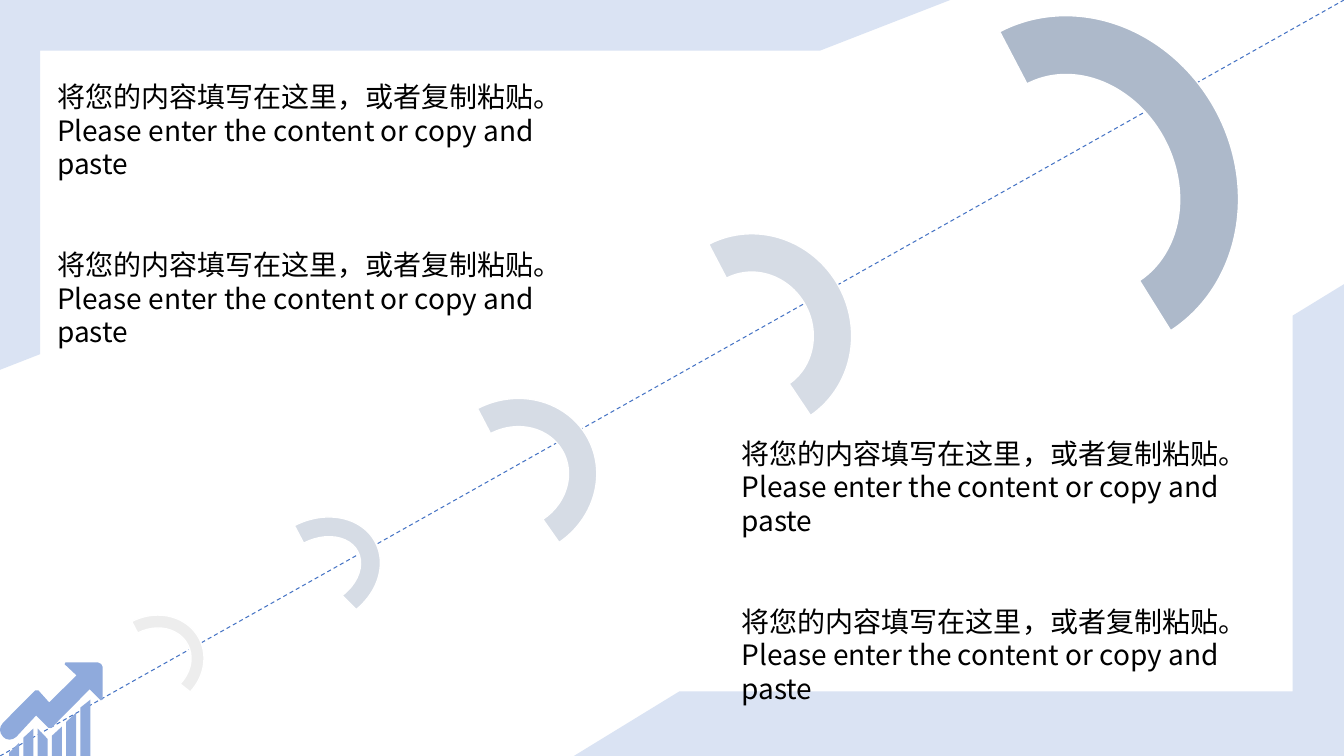
from typing import NamedTuple

from lxml import etree
from pptx import Presentation
from pptx.dml.color import RGBColor
from pptx.enum import dml, shapes
from pptx.oxml import ns
from pptx.util import Cm, Pt

WHITE = RGBColor(0xFF, 0xFF, 0xFF)
BLACK = RGBColor(0x00, 0x00, 0x00)
PALE_BLUE = RGBColor(0xDA, 0xE3, 0xF3)
BLUE = RGBColor(0x44, 0x72, 0xC4)
ICON_BLUE = RGBColor(0x8F, 0xAA, 0xDC)
LIGHT_GREY = RGBColor(0xED, 0xED, 0xED)
GREY_BLUE = RGBColor(0xD6, 0xDC, 0xE5)
SLATE = RGBColor(0xAD, 0xB9, 0xCA)

FONT = "Noto Sans CJK SC"
LINE_PITCH = 24
WIDTH, HEIGHT = 33.87, 19.05
ENTRY = ("将您的内容填写在这里，或者复制粘贴。", "Please enter the content or copy and paste")


class Box(NamedTuple):
    left: float
    top: float
    width: float
    height: float

    def emu(self) -> list:
        return [Cm(v) for v in self]


class Frame(NamedTuple):
    box: Box
    rotation: float


class Arc(NamedTuple):
    box: Box
    end: float
    thickness: float
    color: RGBColor


FRAMES = [
    Frame(Box(0, 0, 23.95, 9.32), 0),
    Frame(Box(14.46, 7.16, 19.41, 11.89), 180),
]
ARCS = [
    Arc(Box(2.69, 15.39, 2.34, 2.62), 201.53, 0.14, LIGHT_GREY),
    Arc(Box(6.71, 12.8, 2.64, 3.23), 205.57, 0.19, GREY_BLUE),
    Arc(Box(10.97, 9.93, 3.96, 4.24), 211.47, 0.18, GREY_BLUE),
    Arc(Box(22.86, 0.74, 8.69, 7.82), 213.39, 0.19, SLATE),
    Arc(Box(16.51, 5.97, 5.03, 4.83), 212.22, 0.2, GREY_BLUE),
]
TEXT_BOXES = [Box(1.19, 1.88, 12.73, 7.9), Box(18.44, 10.87, 13.97, 7.92)]

# Heights of the left and right top corners of each bar in the growth icon
BAR_TOPS = [
    (18.97, 18.72), (18.59, 18.36), (18.36, 18.62),
    (18.54, 18.31), (18.19, 17.96), (17.83, 17.63),
]
BAR_LEFT, BAR_STEP, BAR_WIDTH = 0.23, 0.36, 0.25
ARROW = [
    (1.65, 16.69), (2.46, 16.69), (2.55, 16.73), (2.59, 16.81), (2.59, 17.63),
    (2.54, 17.65), (2.26, 17.37), (1.3, 18.34), (1.22, 18.34), (0.91, 18.03),
    (0.41, 18.57), (0.33, 18.62), (0.24, 18.64), (0.15, 18.62), (0.08, 18.57),
    (0.02, 18.48), (0, 18.39), (0.02, 18.3), (0.08, 18.21), (0.89, 17.4),
    (0.97, 17.4), (1.24, 17.7), (1.93, 17.02), (1.63, 16.74),
]


def paint(sp, color: RGBColor) -> None:
    """Give a flat fill with no outline and no shadow."""
    sp.shadow.inherit = False
    sp.fill.solid()
    sp.fill.fore_color.rgb = color
    sp.line.fill.background()


def add_frame(s, frame: Frame) -> None:
    sp = s.shapes.add_shape(shapes.MSO_SHAPE.HALF_FRAME, *frame.box.emu())
    sp.adjustments[0], sp.adjustments[1] = 0.137, 0.109
    sp.rotation = frame.rotation
    paint(sp, PALE_BLUE)


def add_trend_line(s) -> None:
    line = s.shapes.add_connector(
        shapes.MSO_CONNECTOR.STRAIGHT, 0, Cm(HEIGHT), Cm(WIDTH), 0)
    line.line.color.rgb = BLUE
    line.line.width = Pt(0.75)
    line.line.dash_style = dml.MSO_LINE.DASH
    etree.SubElement(line._element.spPr, ns.qn("a:effectLst"))


def add_arc(s, arc: Arc) -> None:
    sp = s.shapes.add_shape(shapes.MSO_SHAPE.BLOCK_ARC, *arc.box.emu())
    for i, value in enumerate((108, arc.end, arc.thickness)):
        sp.adjustments[i] = value
    sp.rotation = 62.4
    paint(sp, arc.color)
    sp.line.color.rgb = WHITE
    sp.line.width = Pt(1)


def add_entries(s, box: Box) -> None:
    """Write the entry twice, two lines apart."""
    tf = s.shapes.add_textbox(*box.emu()).text_frame
    tf.word_wrap = True
    tf.text = "\n".join(ENTRY * 2)
    for p in tf.paragraphs:
        p.line_spacing = Pt(LINE_PITCH)
        p.font.size = Pt(20)
        p.font.color.rgb = BLACK
        p.font.name = FONT
        etree.SubElement(p.font._element, ns.qn("a:ea"), typeface=FONT)
    tf.paragraphs[len(ENTRY)].space_before = Pt(2 * LINE_PITCH)


def add_growth_icon(s) -> None:
    outlines = [ARROW]
    for i, (left_top, right_top) in enumerate(BAR_TOPS):
        left = BAR_LEFT + i * BAR_STEP
        right = left + BAR_WIDTH
        outlines.append([(left, HEIGHT), (left, left_top),
                         (right, right_top), (right, HEIGHT)])
    builder = s.shapes.build_freeform(*[Cm(v) for v in ARROW[0]])
    for outline in outlines:
        start, *rest = [(Cm(x), Cm(y)) for x, y in outline]
        if outline is not ARROW:
            builder.move_to(*start)
        builder.add_line_segments(rest, close=True)
    paint(builder.convert_to_shape(), ICON_BLUE)


def main() -> None:
    prs = Presentation()
    prs.slide_width, prs.slide_height = Cm(WIDTH), Cm(HEIGHT)
    s = prs.slides.add_slide(prs.slide_layouts[6])
    for frame in FRAMES:
        add_frame(s, frame)
    add_trend_line(s)
    for arc in ARCS:
        add_arc(s, arc)
    for box in TEXT_BOXES:
        add_entries(s, box)
    add_growth_icon(s)
    prs.save("out.pptx")


if __name__ == "__main__":
    main()
